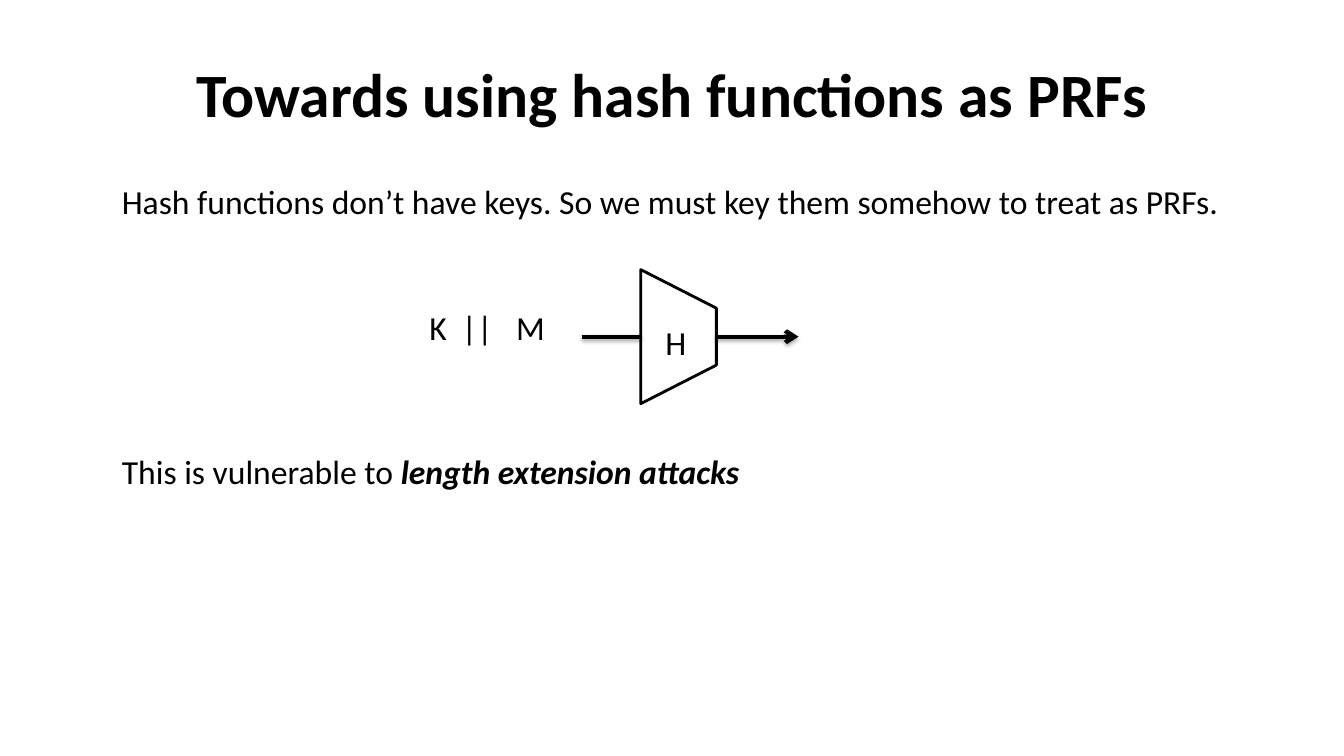
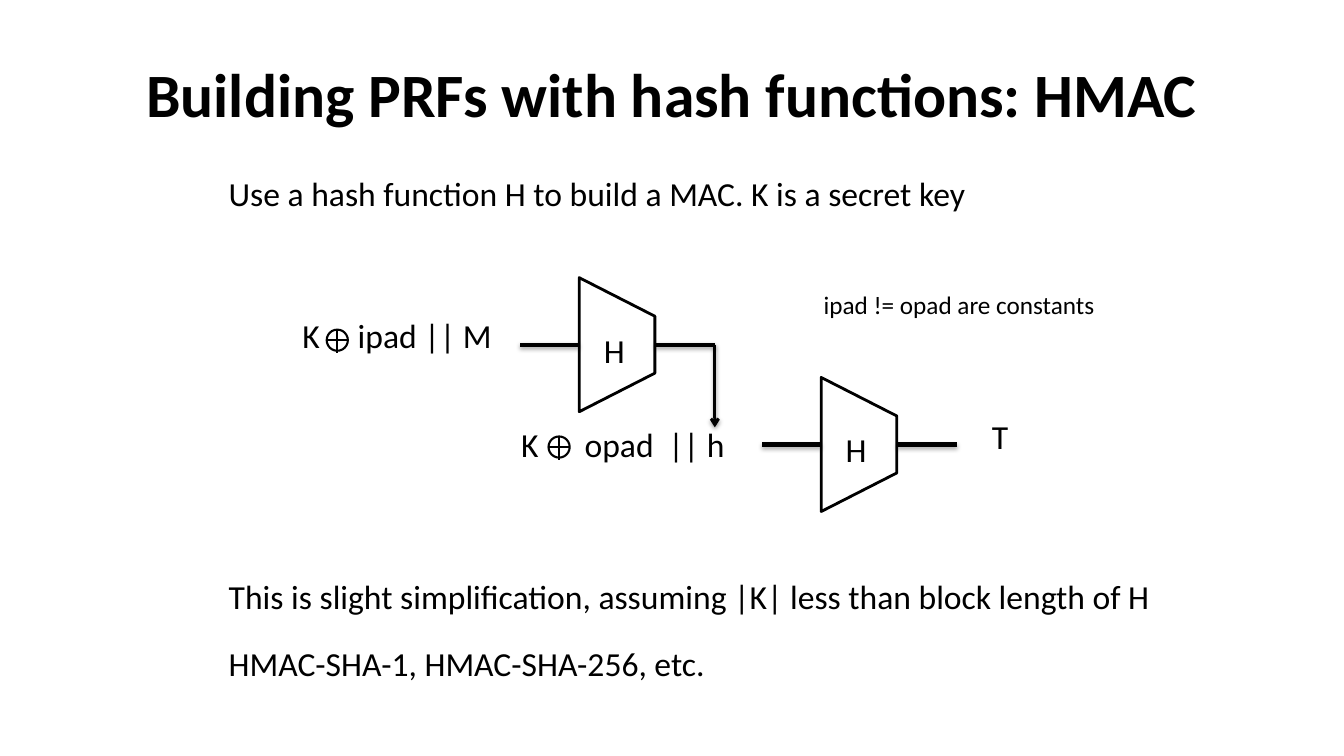
from lxml import etree
from pptx import Presentation
from pptx.dml.color import RGBColor
from pptx.enum.shapes import MSO_CONNECTOR, MSO_SHAPE
from pptx.enum.text import MSO_ANCHOR, PP_ALIGN
from pptx.oxml.ns import qn
from pptx.util import Inches, Pt

STRAIGHT = MSO_CONNECTOR.STRAIGHT
TRAPEZOID = MSO_SHAPE.TRAPEZOID
OVAL = MSO_SHAPE.OVAL
MIDDLE, TOP = MSO_ANCHOR.MIDDLE, MSO_ANCHOR.TOP
CENTER, LEFT = PP_ALIGN.CENTER, PP_ALIGN.LEFT

COLORS = {"ink": "000000", "paper": "FFFFFF"}
INK = RGBColor.from_string(COLORS["ink"])
PAPER = RGBColor.from_string(COLORS["paper"])
BODY = {"name": "Calibri", "size": Pt(24), "bold": False, "italic": False}
TITLE = {**BODY, "size": Pt(44), "bold": True}
SMALL = {**BODY, "size": Pt(18)}
EMPHASIS = {**BODY, "bold": True, "italic": True}

TRAPEZOID_WIDTH, TRAPEZOID_HEIGHT = 1.33, 0.75
HALF_DEPTH = TRAPEZOID_HEIGHT / 2
INPUT_REACH = 0.96
CIRCLE_SIZE = 0.21


def add_text(slide, box, runs, tabs=(), align=LEFT, anchor=TOP):
    shape = slide.shapes.add_textbox(*[Inches(value) for value in box])
    frame = shape.text_frame
    frame.word_wrap = True
    frame.vertical_anchor = anchor
    paragraph = frame.paragraphs[0]
    paragraph.alignment = align
    if tabs:
        properties = paragraph._p.get_or_add_pPr()
        tab_list = etree.SubElement(properties, qn("a:tabLst"))
        for position in tabs:
            etree.SubElement(tab_list, qn("a:tab"), pos=str(Inches(position)), algn="l")
    for text, font_format in runs:
        run = paragraph.add_run()
        run.text = text
        run.font.color.rgb = INK
        for name, value in font_format.items():
            setattr(run.font, name, value)


def add_line(shapes, points, width, shadow=None, arrow=False):
    line = shapes.add_connector(STRAIGHT, *[Inches(value) for value in points])
    line.line.color.rgb = INK
    line.line.width = Pt(width)
    properties = line._element.spPr
    if arrow:
        etree.SubElement(line.line._get_or_add_ln(), qn("a:tailEnd"), type="arrow")
    effects = etree.SubElement(properties, qn("a:effectLst"))
    if shadow:
        opacity, distance = shadow
        outer = etree.SubElement(
            effects, qn("a:outerShdw"), blurRad=str(Pt(3.1)), dist=str(Pt(distance)),
            dir="5400000", rotWithShape="0")
        color = etree.SubElement(outer, qn("a:srgbClr"), val=COLORS["ink"])
        etree.SubElement(color, qn("a:alpha"), val=str(opacity * 1000))


FLOW_SHADOW = (35, 1.8)
DROP_SHADOW = (38, 1.6)

SLIDES = [
    {
        "title": "Towards using hash functions as PRFs",
        "texts": [
            ((1.11, 1.75, 11.4, 0.5),
             [("Hash functions don’t have keys. So we must key them somehow to treat as PRFs.", BODY)], ()),
            ((4.16, 3, 1.42, 0.5), [("K\t||\tM", BODY)], (0.32, 0.86)),
            ((1.11, 4.42, 6.45, 0.5),
             [("This is vulnerable to ", BODY), ("length extension attacks", EMPHASIS)], ()),
        ],
        "hashes": [(6.73, 3.34, 1.19, True)],
        "drops": [],
        "xors": [],
    },
    {
        "title": "Building PRFs with hash functions: HMAC",
        "texts": [
            ((2.17, 1.67, 7.7, 0.5),
             [("Use a hash function H to build a MAC. K is a secret key", BODY)], ()),
            ((2.9, 3.08, 2.16, 0.5), [("K\tipad || M", BODY)], (0.55,)),
            ((5.07, 4.16, 2.44, 0.5), [("K\topad\t|| h", BODY)], (0.63, 1.46)),
            ((9.74, 4.08, 0.4, 0.5), [("T", BODY)], ()),
            ((8.07, 2.82, 3, 0.4), [("ipad != opad are constants", SMALL)], ()),
            ((2.17, 5.66, 9.55, 0.5),
             [("This is slight simplification, assuming |K| less than block length of H", BODY)], ()),
            ((2.17, 6.33, 5.1, 0.5), [("HMAC-SHA-1, HMAC-SHA-256, etc.", BODY)], ()),
        ],
        "hashes": [(6.12, 3.42, 0.97, False), (8.52, 4.41, 0.97, False)],
        "drops": [(7.09, 3.42, 7.09, 4.24)],
        "xors": [(3.24, 3.27), (5.44, 4.33)],
    },
]

presentation = Presentation()
presentation.slide_width = Inches(13.33)
presentation.slide_height = Inches(7.5)

for content in SLIDES:
    slide = presentation.slides.add_slide(presentation.slide_layouts[6])
    add_text(slide, (0.67, 0.3, 12, 1.25), [(content["title"], TITLE)], align=CENTER, anchor=MIDDLE)

    for center_x, center_y, output_reach, arrow in content["hashes"]:
        trapezoid = slide.shapes.add_shape(
            TRAPEZOID, Inches(center_x - TRAPEZOID_WIDTH / 2), Inches(center_y - HALF_DEPTH),
            Inches(TRAPEZOID_WIDTH), Inches(TRAPEZOID_HEIGHT))
        trapezoid.rotation = 90
        trapezoid.adjustments[0] = 0.51
        trapezoid.shadow.inherit = False
        trapezoid.fill.solid()
        trapezoid.fill.fore_color.rgb = PAPER
        trapezoid.line.color.rgb = INK
        trapezoid.line.width = Pt(2)
        for start, end, has_arrow in [
            (-INPUT_REACH, -HALF_DEPTH, False),
            (HALF_DEPTH, output_reach, arrow),
        ]:
            add_line(slide.shapes, (center_x + start, center_y, center_x + end, center_y),
                     3, FLOW_SHADOW, has_arrow)
        add_text(slide, (center_x - 0.23, center_y - 0.2, 0.44, 0.5), [("H", BODY)])

    for box, runs, tabs in content["texts"]:
        add_text(slide, box, runs, tabs)

    for points in content["drops"]:
        add_line(slide.shapes, points, 2, DROP_SHADOW, True)

    for left, top in content["xors"]:
        group = slide.shapes.add_group_shape()
        middle_x, middle_y = left + CIRCLE_SIZE / 2, top + CIRCLE_SIZE / 2
        add_line(group.shapes, (middle_x, top, middle_x, top + 0.23), 1.25)
        circle = group.shapes.add_shape(
            OVAL, Inches(left), Inches(top), Inches(CIRCLE_SIZE), Inches(CIRCLE_SIZE))
        circle.shadow.inherit = False
        circle.fill.background()
        circle.line.color.rgb = INK
        circle.line.width = Pt(1.5)
        add_line(group.shapes, (left, middle_y, left + CIRCLE_SIZE, middle_y), 1.5)

presentation.save("out.pptx")
